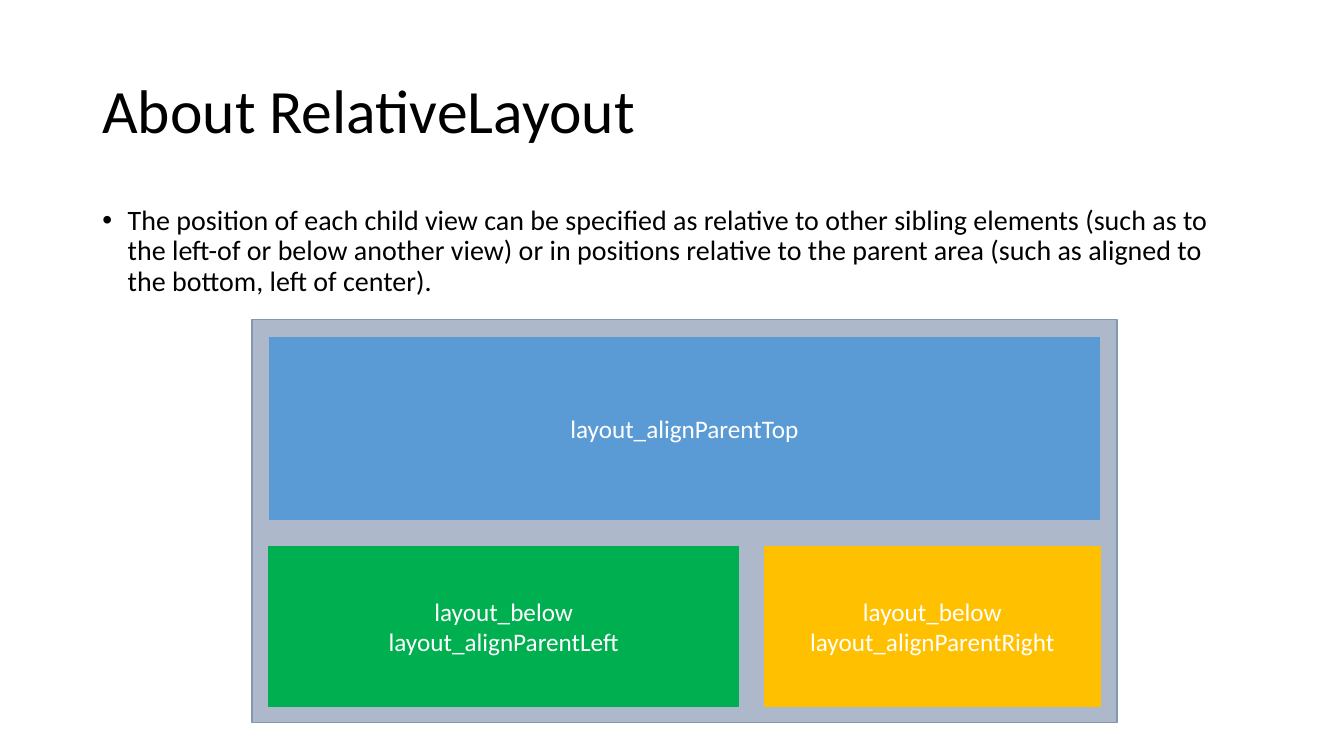
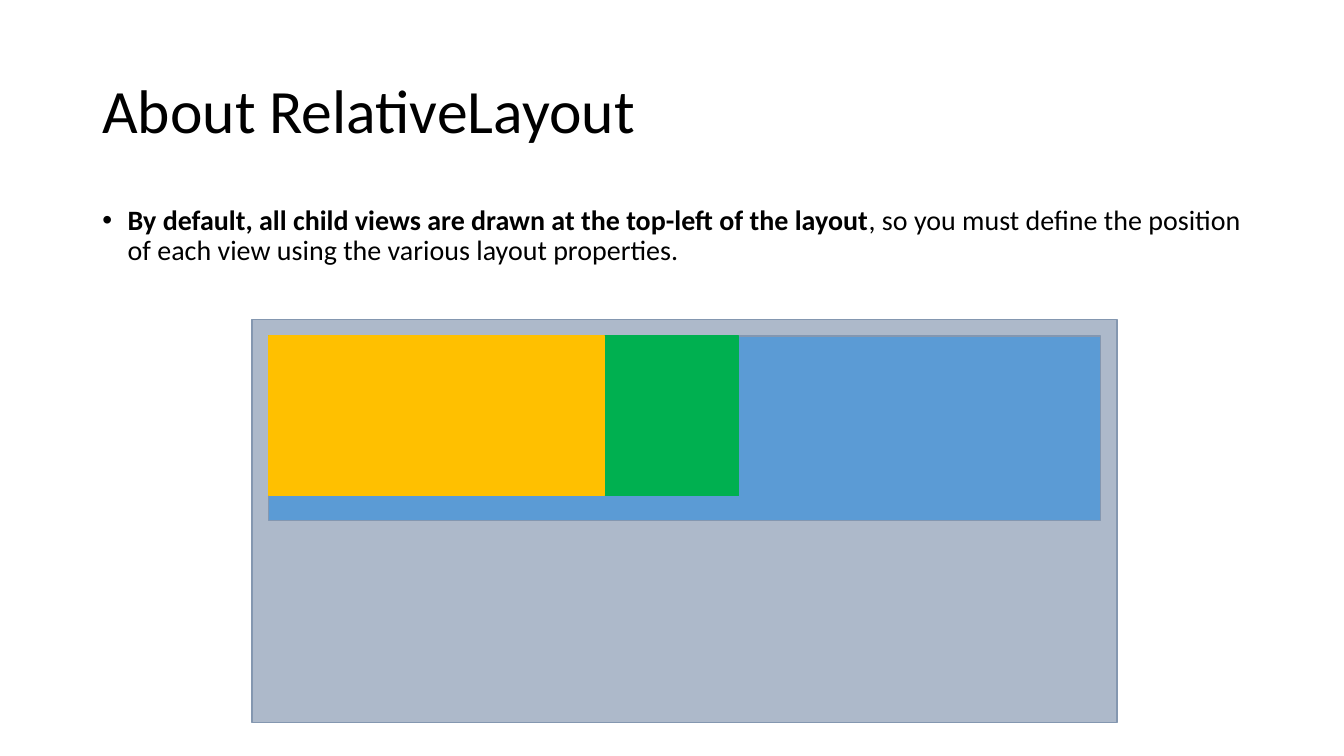
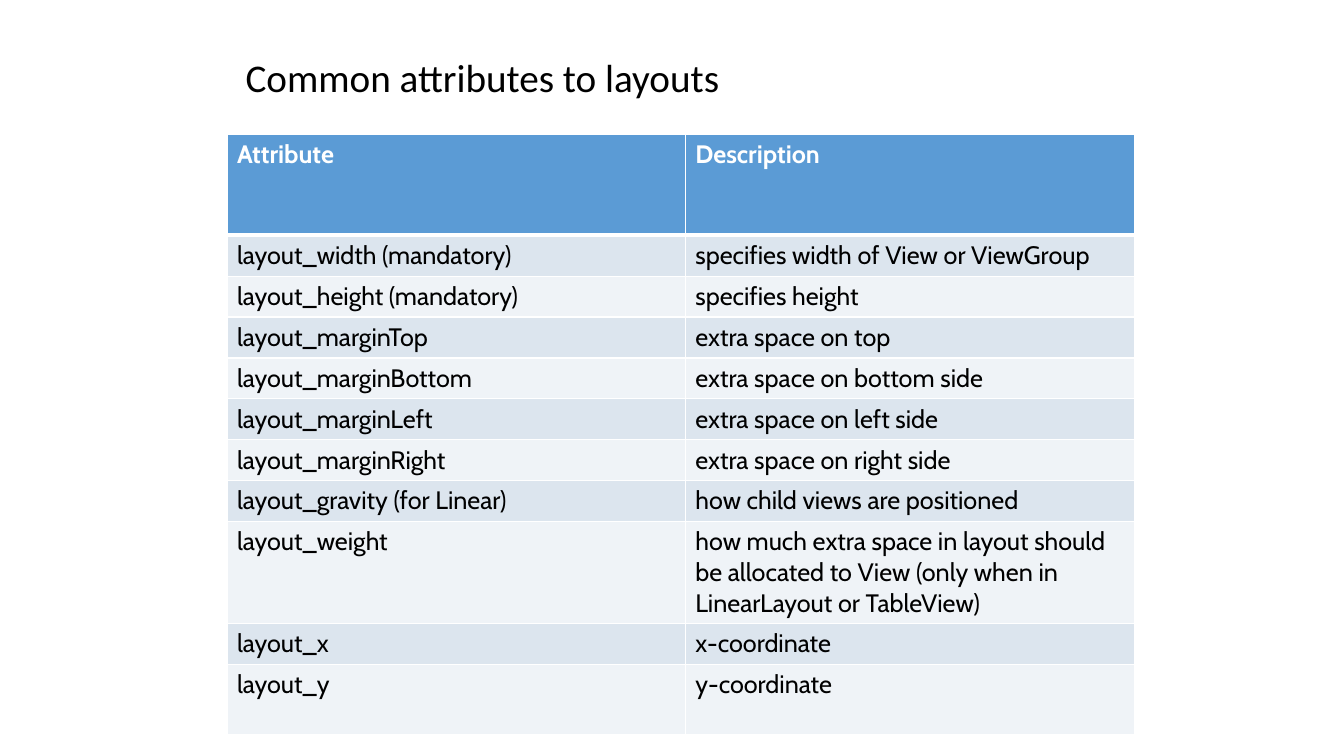
from lxml import etree
from pptx import Presentation, util as u
from pptx.dml.color import RGBColor
from pptx.enum import shapes, text
from pptx.oxml.ns import qn

COLORS = {
    "ink": "000000", "white": "FFFFFF", "frame": "ADB9CA", "edge": "8497B0",
    "blue": "5B9BD5", "green": "00B050", "amber": "FFC000",
    "band_dark": "DCE5EE", "band_light": "EFF3F7",
}
FRAME = (6.35, 8.05, 21.8, 10.16)
PAD = 0.42
WIDE, GREEN, AMBER = (FRAME[2] - 2 * PAD, 4.65), (11.85, 4.02), (8.47, 4.02)
LEFT, TOP = FRAME[0] + PAD, FRAME[1] + PAD
RIGHT, BOTTOM = FRAME[0] + FRAME[2] - PAD, FRAME[1] + FRAME[3] - PAD
ATTRIBUTES = [
    ("Attribute", "Description", 2.54),
    ("layout_width (mandatory)", "specifies width of View or ViewGroup", 1.03),
    ("layout_height (mandatory)", "specifies height", 1.03),
    ("layout_marginTop", "extra space on top", 1.03),
    ("layout_marginBottom", "extra space on bottom side", 1.03),
    ("layout_marginLeft", "extra space on left side", 1.03),
    ("layout_marginRight", "extra space on right side", 1.03),
    ("layout_gravity (for Linear)", "how child views are positioned", 1.03),
    ("layout_weight", "how much extra space in layout should be allocated to View "
     "(only when in LinearLayout or TableView)", 2.57),
    ("layout_x", "x-coordinate", 1.03),
    ("layout_y", "y-coordinate", 1.78),
]


def rgb(name):
    """Return the named colour."""
    return RGBColor.from_string(COLORS[name])


def write(frame, words, lead="", size=18, font="Calibri", color="ink", bold=False,
          align=text.PP_ALIGN.LEFT, spacing=1.0, bullet=False):
    """Fill a text frame, one paragraph a line, after an optional bold lead."""
    frame.word_wrap = True
    for index, line in enumerate(words.split("\n")):
        para = frame.add_paragraph() if index else frame.paragraphs[0]
        if bullet:
            add_bullet(para)
        para.alignment, para.line_spacing = align, spacing
        spans = [(lead, True)] if lead and not index else []
        for content, heavy in spans + [(line, bold)]:
            span = para.add_run()
            span.text = content
            span.font.name, span.font.size, span.font.bold = font, u.Pt(size), heavy
            span.font.color.rgb = rgb(color)


def add_bullet(para):
    """Give a paragraph a hanging round bullet."""
    props = para._p.get_or_add_pPr()
    props.set("marL", str(u.Cm(0.64)))
    props.set("indent", str(-u.Cm(0.64)))
    etree.SubElement(props, qn("a:buFont"), typeface="Arial")
    etree.SubElement(props, qn("a:buChar"), char="•")


def add_text(page, place, words, anchor=text.MSO_ANCHOR.TOP, **style):
    """Add a text box."""
    box = page.shapes.add_textbox(*map(u.Cm, place))
    box.text_frame.vertical_anchor = anchor
    write(box.text_frame, words, spacing=0.9, **style)


def add_title(page, words, place=(2.33, 1.02, 29.21, 3.68), size=44):
    """Add the slide title."""
    add_text(page, place, words, anchor=text.MSO_ANCHOR.MIDDLE, size=size)


def add_block(page, place, fill, line, label=""):
    """Add a rectangle with an optional centred label."""
    block = page.shapes.add_shape(shapes.MSO_SHAPE.RECTANGLE, *map(u.Cm, place))
    block.shadow.inherit = False
    block.fill.solid()
    block.fill.fore_color.rgb = rgb(fill)
    block.line.color.rgb = rgb(line)
    block.line.width = u.Pt(1)
    if label:
        block.text_frame.vertical_anchor = text.MSO_ANCHOR.MIDDLE
        write(block.text_frame, label, color="white", align=text.PP_ALIGN.CENTER)


def add_border(cell, side, width):
    """Draw one white cell border."""
    line = etree.SubElement(cell._tc.get_or_add_tcPr(), qn("a:" + side), w=str(u.Pt(width)))
    fill = etree.SubElement(line, qn("a:solidFill"))
    etree.SubElement(fill, qn("a:srgbClr"), val=COLORS["white"])


def add_attribute_table(page, left, top, widths, rows):
    """Add a banded table whose rows end with their height."""
    place = map(u.Cm, (left, top, sum(widths), sum(row[-1] for row in rows)))
    table = page.shapes.add_table(len(rows), len(widths), *place).table
    for column, width in zip(table.columns, widths):
        column.width = u.Cm(width)
    for index, (*words, height) in enumerate(rows):
        table.rows[index].height = u.Cm(height)
        header = index == 0
        fill = "blue" if header else "band_dark" if index % 2 else "band_light"
        for cell, content in zip(table.rows[index].cells, words):
            for side in ("lnL", "lnR", "lnT", "lnB"):
                thick = (index, side) in ((0, "lnB"), (1, "lnT"))
                add_border(cell, side, 3 if thick else 1)
            cell.fill.solid()
            cell.fill.fore_color.rgb = rgb(fill)
            write(cell.text_frame, content, font="Cabin", bold=header,
                  color="white" if header else "ink")


def add_layout_page(deck, words, blocks, lead=""):
    """Add a slide with a bullet above a framed layout of blocks."""
    page = add_page(deck)
    add_title(page, "About RelativeLayout")
    add_text(page, (2.33, 5.08, 29.21, 12.09), words, lead=lead, size=20, bullet=True)
    add_block(page, FRAME, "frame", "edge")
    for left, top, size, *look in blocks:
        add_block(page, (left, top, *size), *look)


def add_page(deck):
    """Add a blank slide."""
    return deck.slides.add_slide(deck.slide_layouts[6])


def main():
    """Build and save the deck."""
    deck = Presentation()
    deck.slide_width, deck.slide_height = u.Cm(33.87), u.Cm(19.05)
    add_layout_page(
        deck,
        "The position of each child view can be specified as relative to other sibling "
        "elements (such as to the left-of or below another view) or in positions relative "
        "to the parent area (such as aligned to the bottom, left of center).",
        [(LEFT, TOP, WIDE, "blue", "frame", "layout_alignParentTop"),
         (LEFT, BOTTOM - GREEN[1], GREEN, "green", "green",
          "layout_below\nlayout_alignParentLeft"),
         (RIGHT - AMBER[0], BOTTOM - AMBER[1], AMBER, "amber", "amber",
          "layout_below\nlayout_alignParentRight")])
    add_layout_page(
        deck,
        ", so you must define the position of each view using the various layout properties.",
        [(LEFT, TOP, WIDE, "blue", "edge"),
         (LEFT, TOP, GREEN, "green", "green"),
         (LEFT, TOP, AMBER, "amber", "amber")],
        lead="By default, all child views are drawn at the top-left of the layout")
    page = add_page(deck)
    add_title(page, "Common attributes to layouts", (5.94, 0.64, 22.66, 2.74), 28)
    add_attribute_table(page, 5.72, 3.39, (11.55, 11.32), ATTRIBUTES)
    deck.save("out.pptx")


if __name__ == "__main__":
    main()
